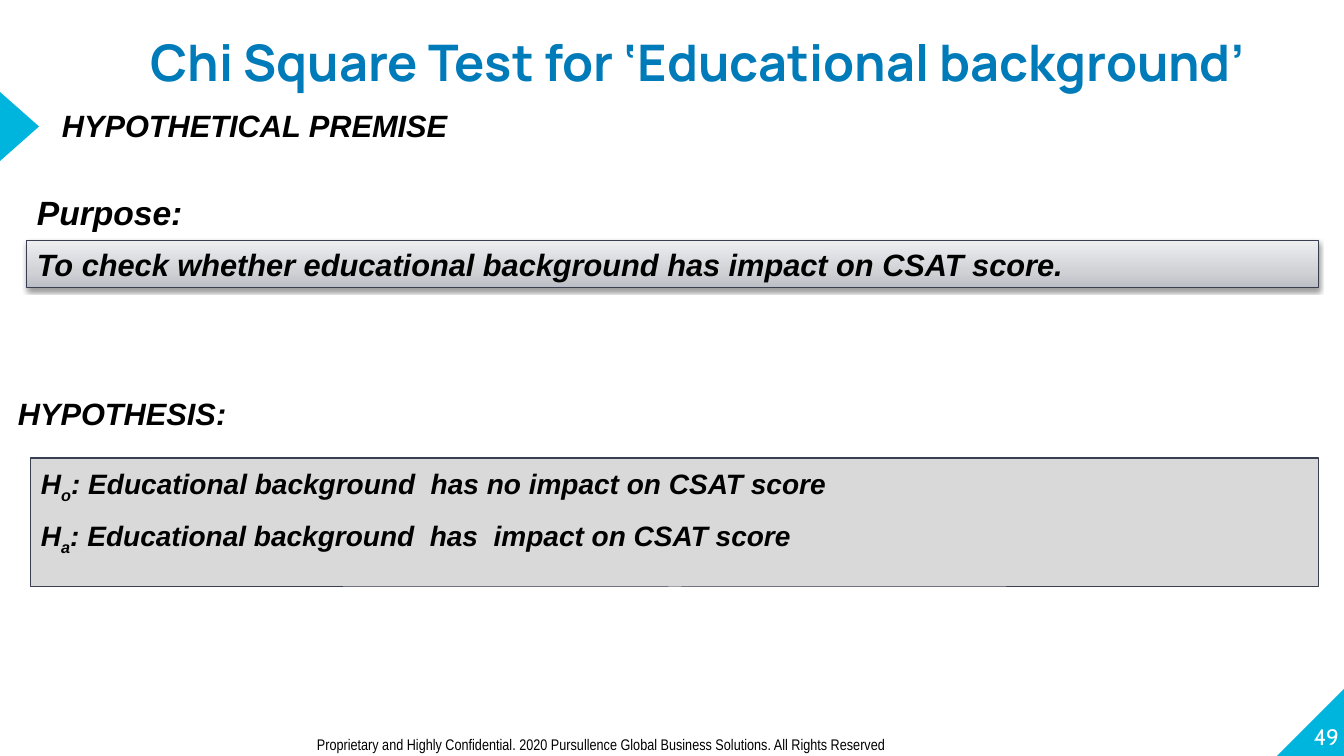
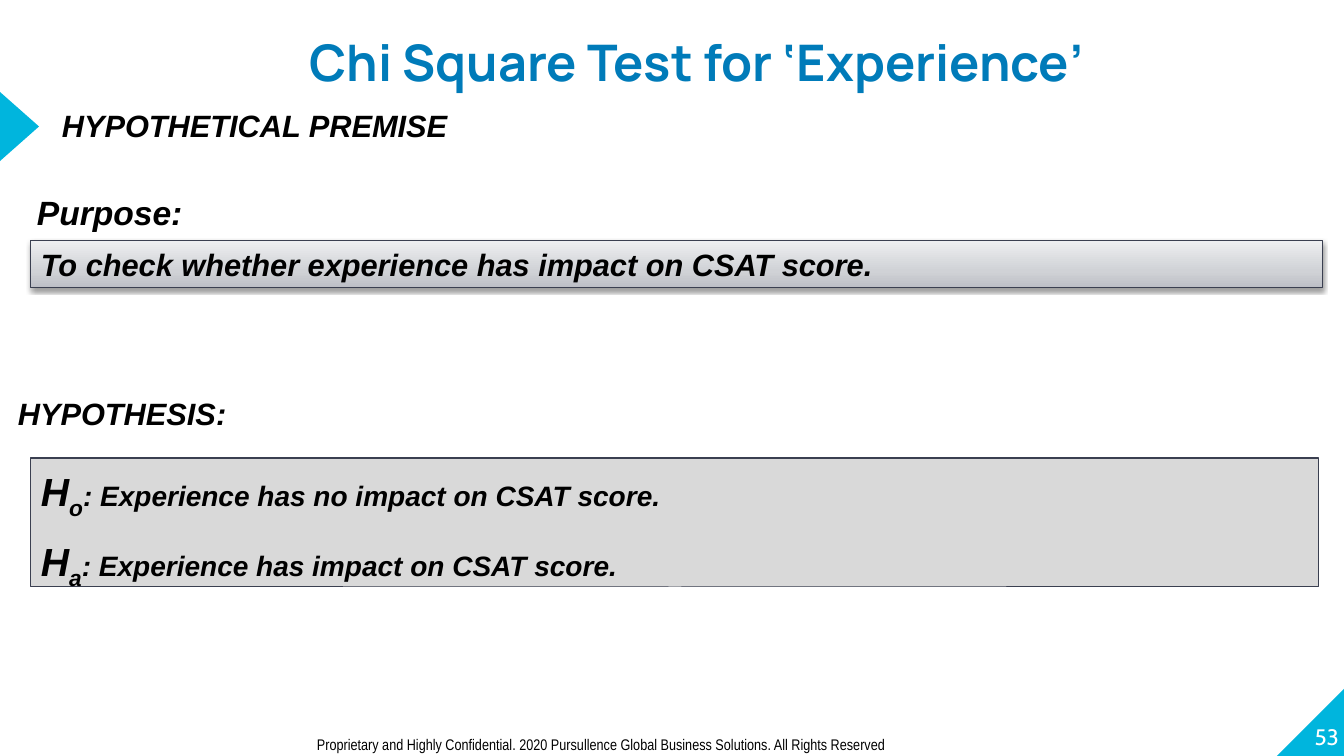
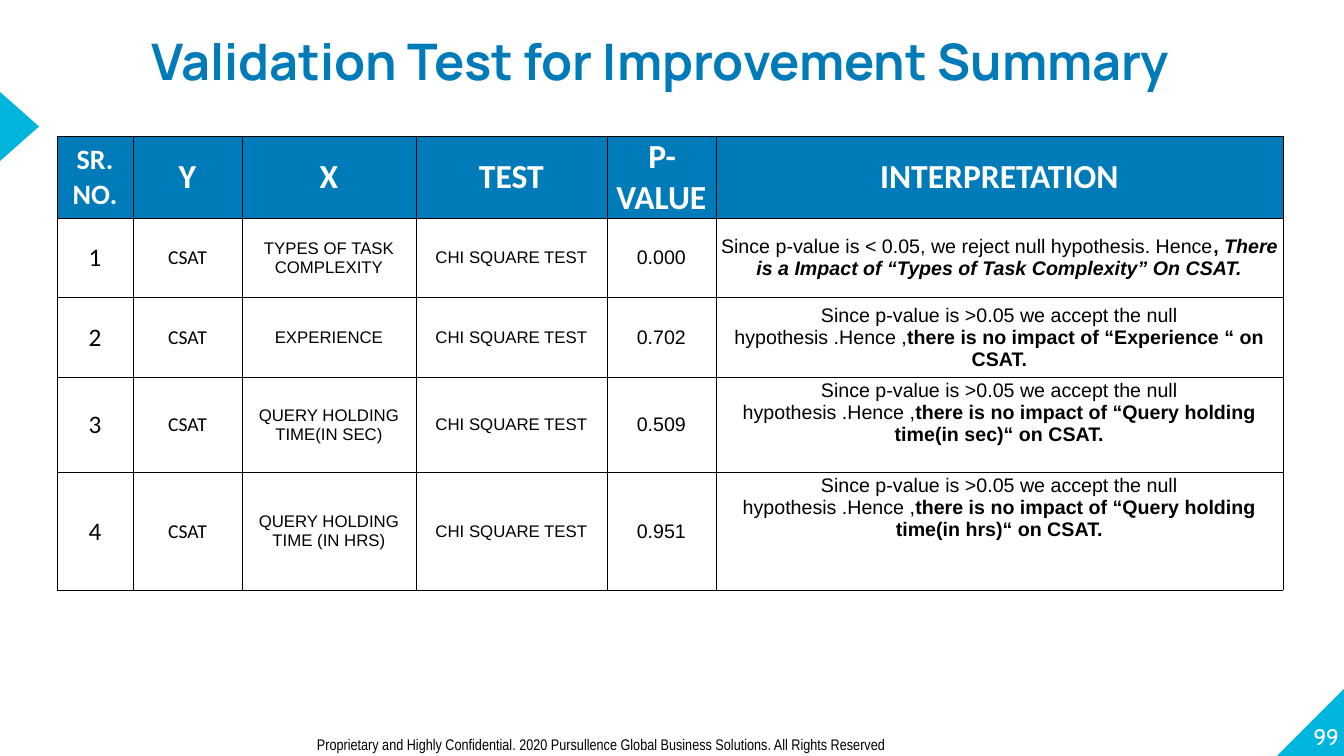
from copy import deepcopy

from lxml import etree
from pptx import Presentation
from pptx import util as u
from pptx.dml.color import RGBColor
from pptx.enum import shapes, text
from pptx.oxml import ns

EMU_PER_PX = 914400 / 100.8

BLUE = RGBColor(0x00, 0x7B, 0xB9)
CYAN = RGBColor(0x00, 0xB5, 0xDD)
BLACK = RGBColor(0x00, 0x00, 0x00)
WHITE = RGBColor(0xFF, 0xFF, 0xFF)
GREY = RGBColor(0xD9, 0xD9, 0xD9)
OUTLINE = RGBColor(0x3A, 0x3F, 0x50)
BAR_STOPS = [
    (0, RGBColor(0xBC, 0xBE, 0xC5)),
    (0.35, RGBColor(0xD0, 0xD2, 0xD6)),
    (1, RGBColor(0xED, 0xEE, 0xF0)),
]
FOOTER = ("Proprietary and Highly Confidential. 2020 Pursullence Global "
          "Business Solutions. All Rights Reserved")
TOP, MIDDLE, BOTTOM = (text.MSO_ANCHOR.TOP, text.MSO_ANCHOR.MIDDLE,
                       text.MSO_ANCHOR.BOTTOM)
LEFT, CENTER, RIGHT = text.PP_ALIGN.LEFT, text.PP_ALIGN.CENTER, text.PP_ALIGN.RIGHT


def add_run(paragraph, words, size, name="Arial", color=BLACK,
            bold=False, italic=False, subscript=False):
    run = paragraph.add_run()
    run.text = words
    font = run.font
    font.size, font.name, font.color.rgb = u.Pt(size), name, color
    font.bold, font.italic = bold, italic
    if subscript:
        font._element.set("baseline", "-25000")


def add_box(slide, place, preset=None, fill=None, line=None,
            anchor=TOP, align=LEFT, inset=True):
    """Add a text box, or a preset shape, placed in px."""
    place = [u.Emu(int(n * EMU_PER_PX)) for n in place]
    if preset is None:
        shape = slide.shapes.add_textbox(*place)
    else:
        shape = slide.shapes.add_shape(preset, *place)
        shape.shadow.inherit = False
        if fill is not None:
            shape.fill.solid()
            shape.fill.fore_color.rgb = fill
        if line is None:
            shape.line.fill.background()
        else:
            shape.line.color.rgb = line
            shape.line.width = u.Pt(0.75)
    frame = shape.text_frame
    frame.word_wrap = True
    frame.vertical_anchor = anchor
    frame.paragraphs[0].alignment = align
    if not inset:
        frame.margin_left = frame.margin_right = 0
        frame.margin_top = frame.margin_bottom = 0
    return shape


presentation = Presentation()
presentation.slide_width = u.Emu(int(1344 * EMU_PER_PX))
presentation.slide_height = u.Emu(int(756 * EMU_PER_PX))

# Title, page number, title place and title anchor of each slide
pages = [
    ("Chi Square Test for ‘Educational background’", "49", (70, 19, 1256, 54), MIDDLE),
    ("Chi Square Test for ‘Experience’", "53", (207, 19, 979, 54), MIDDLE),
    ("Validation Test for Improvement Summary", "99", (134, 0, 1053, 77), TOP),
]
slides = []
for title, number, title_place, title_anchor in pages:
    slide = presentation.slides.add_slide(presentation.slide_layouts[6])
    slides.append(slide)

    corner = add_box(slide, (1277, 688, 68, 68),
                     shapes.MSO_SHAPE.RIGHT_TRIANGLE, CYAN)
    corner.rotation = 270
    pointer = add_box(slide, (-15, 107, 69, 39),
                      shapes.MSO_SHAPE.ISOSCELES_TRIANGLE, CYAN)
    pointer.rotation = 90

    box = add_box(slide, (1271, 681, 68, 69), anchor=BOTTOM, align=RIGHT, inset=False)
    add_run(box.text_frame.paragraphs[0], number, 16, "Cabin", WHITE)

    box = add_box(slide, title_place, anchor=title_anchor, align=CENTER, inset=False)
    paragraph = box.text_frame.paragraphs[0]
    paragraph.line_spacing = 1.5
    add_run(paragraph, title, 36, "Manrope", BLUE, bold=True)

    box = add_box(slide, (307, 730, 858, 29))
    add_run(box.text_frame.paragraphs[0], FOOTER, 11, "Arial Narrow")

# Slides 1 and 2: purpose and hypotheses
headings = [
    ("HYPOTHETICAL PREMISE", (52, 102, 537, 47), 22),
    ("Purpose:", (27, 187, 167, 50), 24),
    ("HYPOTHESIS:", (8, 390, 537, 47), 22),
]
# Purpose, left edge of its bar, size of H, gap in points, hypotheses
premises = [
    ("To check whether educational background has impact on CSAT score.", 27, 20, 8,
     [("o", ": Educational background  has no impact on CSAT score"),
      ("a", ": Educational background  has  impact on CSAT score")]),
    ("To check whether experience has impact on CSAT score.", 31, 28, 10,
     [("o", ": Experience has no impact on CSAT score."),
      ("a", ": Experience has impact on CSAT score.")]),
]
for slide, (purpose, bar_left, symbol_size, gap, hypotheses) in zip(slides, premises):
    for heading, place, size in headings:
        box = add_box(slide, place)
        add_run(box.text_frame.paragraphs[0], heading, size, bold=True, italic=True)

    bar = add_box(slide, (bar_left, 241, 1292, 47), shapes.MSO_SHAPE.RECTANGLE,
                  line=OUTLINE)
    bar.fill.gradient()
    bar.fill.gradient_angle = 90
    stop_list = bar._element.spPr.find(".//" + ns.qn("a:gsLst"))
    stop_list.append(deepcopy(stop_list[-1]))
    for stop, (position, color) in zip(bar.fill.gradient_stops, BAR_STOPS):
        stop.position = position
        stop.color.rgb = color
    effects = bar._element.spPr.find(ns.qn("a:effectLst"))
    shadow = etree.SubElement(effects, ns.qn("a:outerShdw"), blurRad=str(u.Pt(3.1)),
                              dist=str(u.Pt(1.6)), dir="5400000", rotWithShape="0")
    shadow_color = etree.SubElement(shadow, ns.qn("a:srgbClr"), val=str(BLACK))
    etree.SubElement(shadow_color, ns.qn("a:alpha"), val="38000")
    add_run(bar.text_frame.paragraphs[0], purpose, 22, bold=True, italic=True)

    add_box(slide, (31, 458, 1288, 129), shapes.MSO_SHAPE.RECTANGLE, GREY, OUTLINE)
    frame = add_box(slide, (31, 460, 1216, 92)).text_frame
    for index, (letter, statement) in enumerate(hypotheses):
        paragraph = frame.add_paragraph() if index else frame.paragraphs[0]
        paragraph.line_spacing = 1.05
        if index:
            paragraph.space_before = u.Pt(gap)
        add_run(paragraph, "H", symbol_size, bold=True, italic=True)
        add_run(paragraph, letter, symbol_size, bold=True, italic=True, subscript=True)
        add_run(paragraph, statement, 20, bold=True, italic=True)

# Slide 3: summary table
column_widths = [76, 109, 174, 191, 109, 567]
row_heights = [82, 79, 80, 95, 118]
headers = ["SR. NO.", "Y", "X", "TEST", "P-VALUE", "INTERPRETATION"]
column_fonts = [(18, "Calibri"), (14, "Calibri"), (12, "Arial"), (12, "Arial"),
                (14, "Arial")]
ACCEPT = ["Since p-value is >0.05 we accept the null", "hypothesis .Hence ,"]
# Factor, p-value, lines of the opening, bold conclusion, anchor
results = [
    ("TYPES OF TASK COMPLEXITY", "0.000",
     ["Since p-value is < 0.05, we reject null hypothesis. Hence"],
     [(", ", False), ("There is a Impact of “Types of Task Complexity” On CSAT.", True)],
     MIDDLE),
    ("EXPERIENCE", "0.702", ACCEPT,
     [("there is no impact of “Experience “ on CSAT.", False)], MIDDLE),
    ("QUERY HOLDING TIME(IN SEC)", "0.509", ACCEPT,
     [("there is no impact of “Query holding time(in sec)“ on CSAT.", False)], TOP),
    ("QUERY HOLDING TIME (IN HRS)", "0.951", ACCEPT,
     [("there is no impact of “Query holding time(in hrs)“ on CSAT.", False)], TOP),
]
place = (57, 136, sum(column_widths), sum(row_heights))
table = slides[2].shapes.add_table(
    len(row_heights), len(column_widths),
    *[u.Emu(int(n * EMU_PER_PX)) for n in place]).table
for column, width in zip(table.columns, column_widths):
    column.width = u.Emu(int(width * EMU_PER_PX))
for row, height in zip(table.rows, row_heights):
    row.height = u.Emu(int(height * EMU_PER_PX))

for cell in table.iter_cells():
    cell.margin_left = cell.margin_right = cell.margin_top = u.Inches(0.01)
    cell.margin_bottom = 0
    cell.vertical_anchor = MIDDLE
    cell.text_frame.paragraphs[0].alignment = CENTER
    properties = cell._tc.get_or_add_tcPr()
    for side in ("a:lnL", "a:lnR", "a:lnT", "a:lnB"):
        border = etree.SubElement(properties, ns.qn(side), w=str(u.Pt(0.5)))
        border_fill = etree.SubElement(border, ns.qn("a:solidFill"))
        etree.SubElement(border_fill, ns.qn("a:srgbClr"), val=str(BLACK))
    cell.fill.background()

for index, header in enumerate(headers):
    cell = table.cell(0, index)
    cell.fill.solid()
    cell.fill.fore_color.rgb = BLUE
    add_run(cell.text_frame.paragraphs[0], header, 24 if index else 20,
            "Calibri", WHITE, bold=True)

for number, (factor, p_value, opening, conclusion, anchor) in enumerate(results, 1):
    values = [str(number), "CSAT", factor, "CHI SQUARE TEST", p_value]
    for index, (value, (size, name)) in enumerate(zip(values, column_fonts)):
        add_run(table.cell(number, index).text_frame.paragraphs[0], value, size, name)
    cell = table.cell(number, 5)
    cell.vertical_anchor = anchor
    if anchor == TOP:
        cell.margin_top = u.Inches(0.03)
    paragraph = cell.text_frame.paragraphs[0]
    for index, line in enumerate(opening):
        if index:
            paragraph.add_line_break()
        add_run(paragraph, line, 14)
    for words, italic in conclusion:
        add_run(paragraph, words, 14, bold=True, italic=italic)

presentation.save("out.pptx")
